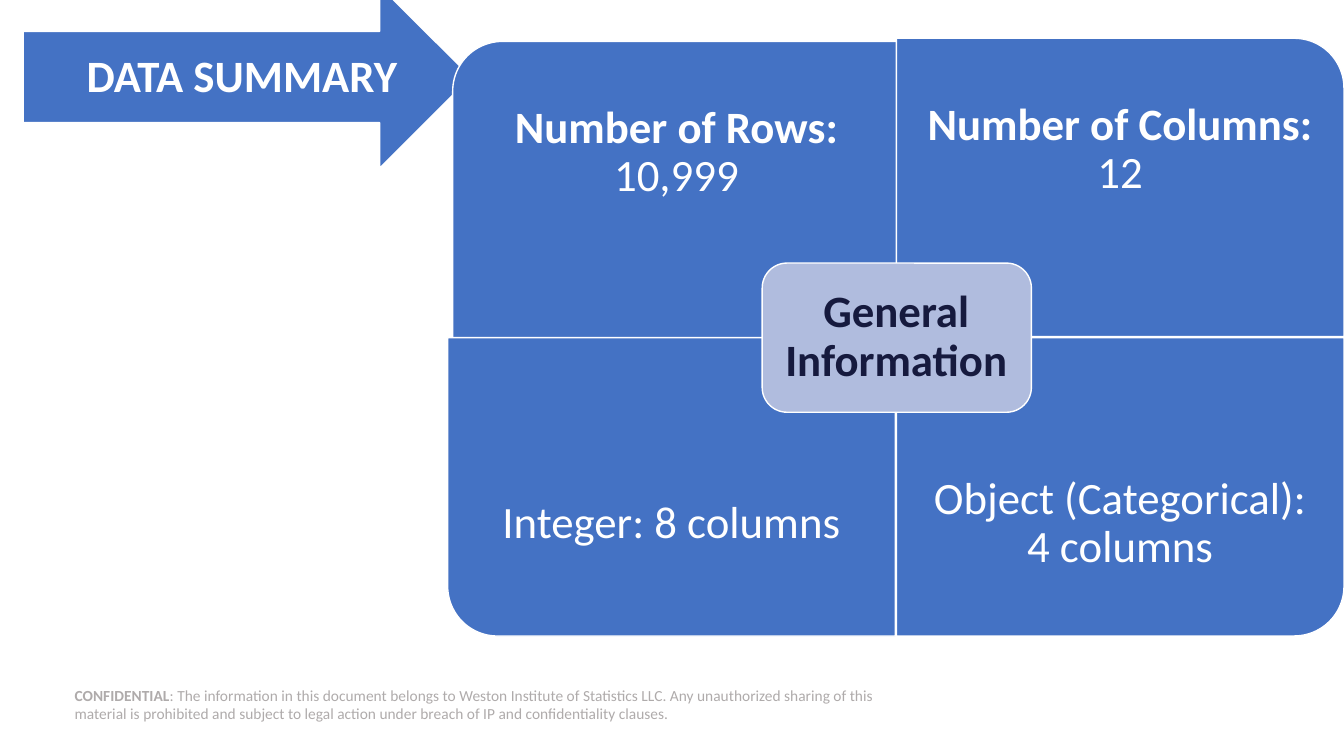
from pptx import Presentation, util as u
from pptx.dml.color import RGBColor
from pptx.enum import shapes, text

KIND = shapes.MSO_SHAPE


def rgb(value):
    return RGBColor.from_string(value)


class SummarySlide:
    """Holds the style and the slide, and draws each kind of element."""

    font = "Calibri"
    blue, white, grey = "4472C4", "FFFFFF", "AFABAB"
    pale, navy = "B0BCDE", "161A3E"

    def __init__(self, prs):
        self.s = prs.slides.add_slide(prs.slide_layouts[6])

    def block(self, kind, x, y, w, h, fill, turn=0):
        if turn % 180:
            x, y, w, h = x + (w - h) / 2, y + (h - w) / 2, h, w
        sp = self.s.shapes.add_shape(kind, *map(u.Inches, (x, y, w, h)))
        sp.rotation = turn
        sp.shadow.inherit = False
        sp.fill.solid()
        sp.fill.fore_color.rgb = rgb(fill)
        sp.line.color.rgb = rgb(self.white)
        sp.line.width = u.Pt(1)

    def label(self, x, y, w, h, bold, plain="", inset=0, size=32,
              color=white, align=text.PP_ALIGN.CENTER, spacing=0.9):
        sp = self.s.shapes.add_textbox(*map(u.Inches, (x, y, w, h)))
        tf = sp.text_frame
        tf.word_wrap = True
        tf.vertical_anchor = text.MSO_ANCHOR.MIDDLE
        tf.margin_left = tf.margin_right = u.Inches(inset)
        tf.margin_top = tf.margin_bottom = u.Inches(inset)
        p = tf.paragraphs[0]
        p.alignment = align
        p.line_spacing = spacing
        for words, weight in ((bold, True), (plain, False)):
            if words:
                r = p.add_run()
                r.text = words
                r.font.name = self.font
                r.font.size = u.Pt(size)
                r.font.bold = weight
                r.font.color.rgb = rgb(color)

    def panel(self, x, y, turn, text_y, bold, plain):
        w, h, text_h = 4.44, 2.96, 2.22
        self.block(KIND.ROUND_1_RECTANGLE, x, y, w, h, self.blue, turn)
        self.label(x, text_y, w, text_h, bold, plain, inset=0.25)


def main():
    prs = Presentation()
    prs.slide_width, prs.slide_height = u.Inches(13.33), u.Inches(7.5)
    slide = SummarySlide(prs)

    slide.label(
        0.74, 6.79, 8.17, 0.4, "CONFIDENTIAL",
        ": The information in this document belongs to Weston Institute of "
        "Statistics LLC. Any unauthorized sharing of this material is "
        "prohibited and subject to legal action under breach of IP and "
        "confidentiality clauses.",
        size=11, color=slide.grey, align=text.PP_ALIGN.LEFT, spacing=1.0)

    slide.block(KIND.RIGHT_ARROW, 0.23, -0.14, 4.44, 1.81, slide.blue)
    slide.label(0.58, 0.32, 3.64, 0.91, "DATA SUMMARY")

    panels = [
        (4.49, 0.41, 270, 0.41, "Number of Rows:", " 10,999"),
        (8.89, 0.38, 0, 0.38, "Number of Columns:", " 12"),
        (4.44, 3.35, 180, 4.09, "", "Integer: 8 columns"),
        (8.89, 3.35, 90, 4.09, "", "Object (Categorical): 4 columns"),
    ]
    for panel in panels:
        slide.panel(*panel)

    slide.block(KIND.ROUNDED_RECTANGLE, 7.56, 2.61, 2.67, 1.48, slide.pale)
    slide.label(7.63, 2.68, 2.52, 1.34, "General Information",
                inset=0.13, color=slide.navy)
    prs.save("out.pptx")


if __name__ == "__main__":
    main()
